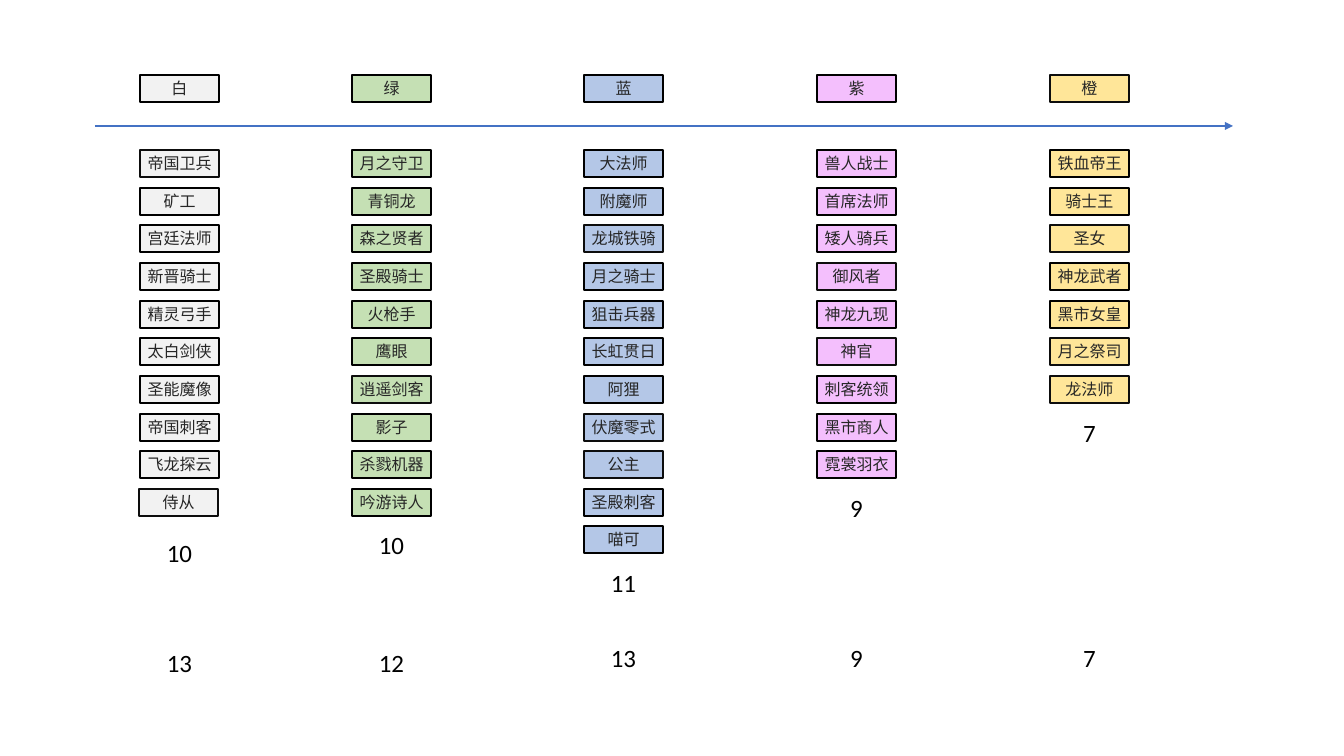
from pptx import Presentation
from pptx.dml.color import RGBColor
from pptx.enum.shapes import MSO_CONNECTOR as CONNECTOR, MSO_SHAPE as SHAPE
from pptx.enum.text import MSO_ANCHOR as ANCHOR, MSO_AUTO_SIZE as AUTO_SIZE, PP_ALIGN as ALIGN
from pptx.oxml.ns import qn
from pptx.util import Pt
from lxml.etree import SubElement

PIXEL = 914400 // 64
WHITE = RGBColor(0xF2, 0xF2, 0xF2)
GREEN = RGBColor(0xC5, 0xE0, 0xB4)
BLUE = RGBColor(0xB4, 0xC7, 0xE7)
PURPLE = RGBColor(0xF4, 0xBF, 0xFD)
ORANGE = RGBColor(0xFF, 0xE6, 0x99)
ARROW_BLUE = RGBColor(0x44, 0x72, 0xC4)
BLACK = RGBColor(0x00, 0x00, 0x00)
SOFT_BLACK = RGBColor(0x0D, 0x0D, 0x0D)
CARD_INK = RGBColor(0x26, 0x26, 0x26)

CARD_WIDTH, CARD_HEIGHT, COUNT_HEIGHT = 79, 27, 36
HEADER_TOP, FIRST_ROW, ROW_PITCH = 75, 150, 37.65

# Rarity, fill, left, gap above the count, total, top of the total, heroes
TIERS = [
    ("白", WHITE, 140, 8, 13, 644,
     "帝国卫兵 矿工 宫廷法师 新晋骑士 精灵弓手 太白剑侠 圣能魔像 帝国刺客 飞龙探云 侍从"),
    ("绿", GREEN, 352, 0, 12, 644,
     "月之守卫 青铜龙 森之贤者 圣殿骑士 火枪手 鹰眼 逍遥剑客 影子 杀戮机器 吟游诗人"),
    ("蓝", BLUE, 584, 0, 13, 639,
     "大法师 附魔师 龙城铁骑 月之骑士 狙击兵器 长虹贯日 阿狸 伏魔零式 公主 圣殿刺客 喵可"),
    ("紫", PURPLE, 817, 0, 9, 639,
     "兽人战士 首席法师 矮人骑兵 御风者 神龙九现 神官 刺客统领 黑市商人 霓裳羽衣"),
    ("橙", ORANGE, 1050, 0, 7, 639,
     "铁血帝王 骑士王 圣女 神龙武者 黑市女皇 月之祭司 龙法师"),
]
SOFT_OUTLINED = set(
    "橙 帝国卫兵 侍从 逍遥剑客 龙城铁骑 伏魔零式 公主 御风者 神官 圣女 月之祭司 龙法师".split())
LEFT_NUDGE = {"侍从": -1}

deck = Presentation()
deck.slide_width, deck.slide_height = 1344 * PIXEL, 756 * PIXEL
page = deck.slides.add_slide(deck.slide_layouts[6])


def write(box, text, size, color, frame_format):
    """Fill a box with one centred line of text."""
    frame = box.text_frame
    for name, value in frame_format.items():
        setattr(frame, name, value)
    para = frame.paragraphs[0]
    para.alignment = ALIGN.CENTER
    span = para.add_run()
    span.text = text
    for name, value in {"name": "Calibri", "size": Pt(size)}.items():
        setattr(span.font, name, value)
    span.font.color.rgb = color


arrow = page.shapes.add_connector(
    CONNECTOR.STRAIGHT, 95 * PIXEL, 126 * PIXEL, 1233 * PIXEL, 126 * PIXEL)
arrow.line.color.rgb = ARROW_BLUE
arrow.line.width = Pt(3)
SubElement(arrow.line._get_or_add_ln(), qn("a:tailEnd"), type="triangle")
SubElement(arrow._element.spPr, qn("a:effectLst"))

card_format = {
    "word_wrap": True, "vertical_anchor": ANCHOR.MIDDLE,
    "margin_left": Pt(5), "margin_right": Pt(5),
    "margin_top": Pt(3), "margin_bottom": Pt(3),
}
count_format = {"word_wrap": True, "auto_size": AUTO_SIZE.SHAPE_TO_FIT_TEXT}

for rarity, fill, left, count_gap, total, total_top, heroes in TIERS:
    names = heroes.split()
    row_tops = [FIRST_ROW + round(ROW_PITCH * row) for row in range(len(names) + 1)]

    for name, top in zip([rarity] + names, [HEADER_TOP] + row_tops):
        card_left = left + LEFT_NUDGE.get(name, 0)
        card = page.shapes.add_shape(
            SHAPE.RECTANGLE, card_left * PIXEL, top * PIXEL,
            CARD_WIDTH * PIXEL, CARD_HEIGHT * PIXEL)
        card.shadow.inherit = False
        card.fill.solid()
        card.fill.fore_color.rgb = fill
        card.line.color.rgb = SOFT_BLACK if name in SOFT_OUTLINED else BLACK
        card.line.width = Pt(1.5)
        write(card, name, 18, CARD_INK, card_format)

    for number, top in [(len(names), row_tops[-1] + count_gap), (total, total_top)]:
        count = page.shapes.add_textbox(
            left * PIXEL, top * PIXEL, CARD_WIDTH * PIXEL, COUNT_HEIGHT * PIXEL)
        write(count, str(number), 28, BLACK, count_format)

deck.save("out.pptx")
